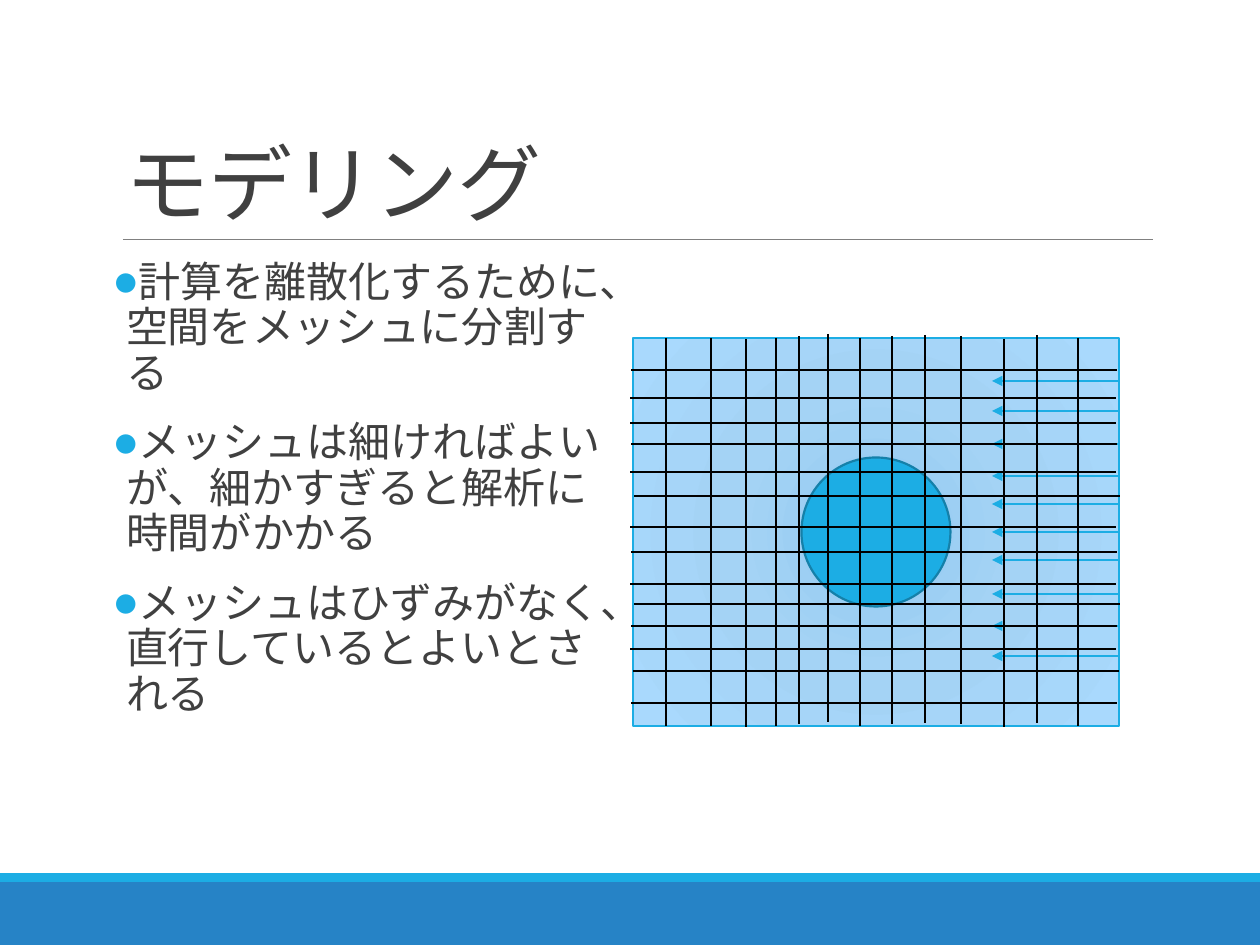
from dataclasses import dataclass

import lxml.etree
import pptx
import pptx.dml.color
import pptx.enum.lang
import pptx.enum.shapes
import pptx.enum.text
import pptx.oxml.ns
import pptx.util

EMU_PER_PX = 914400 / 126


@dataclass(frozen=True)
class Theme:
    font: str = "Calibri"
    text: str = "404040"
    accent: str = "1CADE4"
    accent_dark: str = "1580A9"
    footer: str = "2683C6"
    rule: str = "808080"
    mesh: str = "000000"
    field_stops: tuple = ((0, "92C9F0"), (45, "A4D3F5"), (100, "A9D9FD"))
    title_size: int = 48
    body_size: int = 24


THEME = Theme()
SHAPES = pptx.enum.shapes.MSO_SHAPE

BULLETS = (
    "計算を離散化するために、空間をメッシュに分割する",
    "メッシュは細ければよいが、細かすぎると解析に時間がかかる",
    "メッシュはひずみがなく、直行しているとよいとされる",
)
# Offsets from the field's left and top edges, in px.
ARROW_ROWS = (43, 73, 106, 138, 166, 194, 222, 256, 288, 318)
MESH_COLUMNS = ((33, 0), (78, 0), (113, 1), (143, 0), (166, -2), (195, -4), (227, 0),
                (259, -2), (292, -3), (328, -2), (371, 1), (404, -3), (445, 0))
MESH_ROWS = ((-2, 32), (-3, 60), (-3, 85), (-2, 106), (-3, 134), (1, 158), (-3, 189),
             (-2, 214), (-3, 246), (1, 266), (-2, 288), (-3, 311), (0, 333), (-2, 365))


def px(length):
    return pptx.util.Emu(round(length * EMU_PER_PX))


def rgb(color):
    return pptx.dml.color.RGBColor.from_string(color)


def add_element(parent, tag, **attributes):
    element = lxml.etree.SubElement(parent, pptx.oxml.ns.qn(tag))
    for name, value in attributes.items():
        element.set(name, str(value))
    return element


def add_shape(shapes, kind, box, fill, outline=None, outline_width=1):
    shape = shapes.add_shape(kind, *map(px, box))
    shape.shadow.inherit = False
    shape.fill.solid()
    shape.fill.fore_color.rgb = rgb(fill)
    if outline:
        shape.line.color.rgb = rgb(outline)
        shape.line.width = pptx.util.Pt(outline_width)
    else:
        shape.line.fill.background()
    return shape


def add_line(shapes, start, end, color, width=1, arrow=False):
    line = shapes.add_connector(pptx.enum.shapes.MSO_CONNECTOR.STRAIGHT,
                                *map(px, (*start, *end)))
    line.line.color.rgb = rgb(color)
    line.line.width = pptx.util.Pt(width)
    if arrow:
        add_element(line.line._get_or_add_ln(), "a:tailEnd", type="triangle")
    add_element(line._element.spPr, "a:effectLst")
    return line


def set_radial_fill(shape, stops):
    """Replace the fill by a circular gradient spreading from the centre."""
    properties = shape._element.spPr
    solid = properties.find(pptx.oxml.ns.qn("a:solidFill"))
    gradient = lxml.etree.Element(pptx.oxml.ns.qn("a:gradFill"), rotWithShape="1")
    stop_list = add_element(gradient, "a:gsLst")
    for position, color in stops:
        stop = add_element(stop_list, "a:gs", pos=position * 1000)
        add_element(stop, "a:srgbClr", val=color)
    circle = add_element(gradient, "a:path", path="circle")
    add_element(circle, "a:fillToRect", l=50000, t=50000, r=50000, b=50000)
    properties.replace(solid, gradient)


def format_run(run, size):
    run.font.name = THEME.font
    run.font.size = pptx.util.Pt(size)
    run.font.color.rgb = rgb(THEME.text)
    run.font.language_id = pptx.enum.lang.MSO_LANGUAGE_ID.JAPANESE


def add_footer(slide, box):
    left, top, width, height = box
    band = 9
    add_shape(slide.shapes, SHAPES.RECTANGLE, (left, top + band, width, height - band),
              THEME.footer)
    add_shape(slide.shapes, SHAPES.RECTANGLE, (left, top, width, band), THEME.accent)


def add_title(slide, box, text):
    left, top, width, height = box
    title = slide.shapes.title
    title.left, title.top, title.width, title.height = map(px, box)
    frame = title.text_frame
    frame.text = text
    frame.word_wrap = True
    frame.auto_size = pptx.enum.text.MSO_AUTO_SIZE.NONE
    frame.vertical_anchor = pptx.enum.text.MSO_ANCHOR.BOTTOM
    paragraph = frame.paragraphs[0]
    paragraph.alignment = pptx.enum.text.PP_ALIGN.LEFT
    paragraph.line_spacing = 0.85
    run = paragraph.runs[0]
    format_run(run, THEME.title_size)
    run._r.get_or_add_rPr().set("spc", "-50")
    rule_y = top + height
    add_line(slide.shapes, (left + 10, rule_y), (left + width, rule_y), THEME.rule, 0.5)


def add_bullets(slide, box, items):
    frame = slide.shapes.add_textbox(*map(px, box)).text_frame
    frame.word_wrap = True
    frame.margin_left = frame.margin_right = 0
    indent = px(13)
    for index, item in enumerate(items):
        paragraph = frame.add_paragraph() if index else frame.paragraphs[0]
        paragraph.text = item
        properties = paragraph._p.get_or_add_pPr()
        properties.set("marL", str(indent))
        properties.set("indent", str(-indent))
        add_element(add_element(properties, "a:buClr"), "a:srgbClr", val=THEME.accent)
        add_element(properties, "a:buFont", typeface=THEME.font)
        add_element(properties, "a:buChar", char="●")
        paragraph.line_spacing = 0.9
        paragraph.space_before = pptx.util.Pt(12 if index else 0)
        paragraph.space_after = pptx.util.Pt(2)
        format_run(paragraph.runs[0], THEME.body_size)


def add_flow_field(slide, box):
    """Draw the fluid region, the cylinder in it and the inflow arrows."""
    left, top, width, height = box
    shapes = slide.shapes.add_group_shape().shapes
    field = add_shape(shapes, SHAPES.RECTANGLE, box, THEME.field_stops[0][1], THEME.accent)
    set_radial_fill(field, THEME.field_stops)
    diameter = 149
    cylinder = (left + (width - diameter) / 2, top + (height - diameter) / 2,
                diameter, diameter)
    add_shape(shapes, SHAPES.OVAL, cylinder, THEME.accent, THEME.accent_dark, 1.25)
    right = left + width
    for row in ARROW_ROWS:
        add_line(shapes, (right, top + row), (right - 127, top + row), THEME.accent, arrow=True)


def add_mesh(slide, box):
    left, top, width, height = box
    shapes = slide.shapes.add_group_shape().shapes
    for x, y in MESH_COLUMNS:
        add_line(shapes, (left + x, top + y), (left + x, top + y + height), THEME.mesh)
    for x, y in MESH_ROWS:
        add_line(shapes, (left + x + width, top + y), (left + x, top + y), THEME.mesh)


def main():
    presentation = pptx.Presentation()
    presentation.slide_width, presentation.slide_height = px(1260), px(945)
    slide = presentation.slides.add_slide(presentation.slide_layouts[5])
    add_footer(slide, (0, 873, 1260, 72))
    add_title(slide, (113, 39, 1040, 200), "モデリング")
    add_bullets(slide, (113, 255, 510, 554), BULLETS)
    field_box = (633, 338, 486, 388)
    add_flow_field(slide, field_box)
    add_mesh(slide, field_box)
    presentation.save("out.pptx")


if __name__ == "__main__":
    main()
